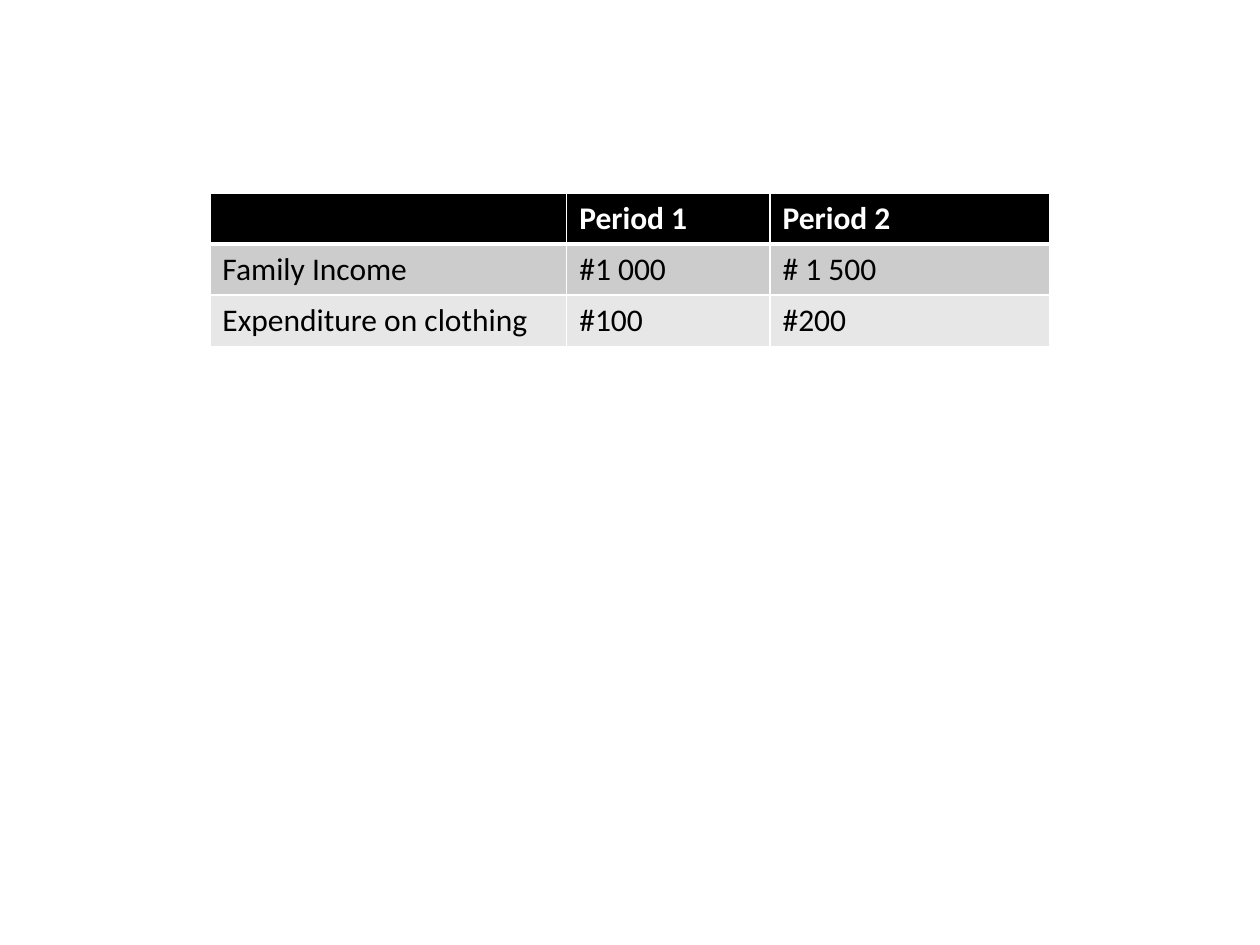
import pptx
import pptx.dml.color
import pptx.oxml.ns
import pptx.util
from lxml import etree

Cm = pptx.util.Cm
Pt = pptx.util.Pt
RGBColor = pptx.dml.color.RGBColor

BLACK = RGBColor(0x00, 0x00, 0x00)
WHITE = RGBColor(0xFF, 0xFF, 0xFF)
DARK_BAND = RGBColor(0xCC, 0xCC, 0xCC)
LIGHT_BAND = RGBColor(0xE7, 0xE7, 0xE7)

ROWS = [
    ["", "Period 1", "Period 2"],
    ["Family Income", "#1 000", "# 1 500"],
    ["Expenditure on clothing", "#100", "#200"],
]
ROW_FILLS = [BLACK, DARK_BAND, LIGHT_BAND]
COLUMN_SHARES = [0.425, 0.242, 0.333]


def add_text(tf, text, size=18, color=BLACK, bold=False, font="Calibri"):
    r = tf.paragraphs[0].add_run()
    r.text = text
    r.font.size = Pt(size)
    r.font.color.rgb = color
    r.font.bold = bold
    r.font.name = font


def set_borders(cell, color=WHITE, **widths):
    tcPr = cell._tc.get_or_add_tcPr()
    for side in "LRTB":
        ln = etree.SubElement(tcPr, pptx.oxml.ns.qn(f"a:ln{side}"),
                              w=str(Pt(widths.get(side, 1))))
        fill = etree.SubElement(ln, pptx.oxml.ns.qn("a:solidFill"))
        etree.SubElement(fill, pptx.oxml.ns.qn("a:srgbClr"), val=str(color))


def add_budget_table(s, left, top, width, height):
    table = s.shapes.add_table(len(ROWS), len(COLUMN_SHARES),
                               left, top, width, height).table
    for column, share in zip(table.columns, COLUMN_SHARES):
        column.width = int(width * share)
    for i, (texts, fill) in enumerate(zip(ROWS, ROW_FILLS)):
        header = i == 0
        widths = {0: {"B": 3}, 1: {"T": 3}}.get(i, {})
        for j, text in enumerate(texts):
            cell = table.cell(i, j)
            set_borders(cell, **widths)
            cell.fill.solid()
            cell.fill.fore_color.rgb = fill
            if text:
                add_text(cell.text_frame, text, bold=header,
                         color=WHITE if header else BLACK)


def main():
    prs = pptx.Presentation()
    prs.slide_width = Cm(25.4)
    prs.slide_height = Cm(19.05)
    s = prs.slides.add_slide(prs.slide_layouts[6])
    add_budget_table(s, Cm(4.23), Cm(3.89), Cm(16.93), Cm(3.09))
    prs.save("out.pptx")


if __name__ == "__main__":
    main()
